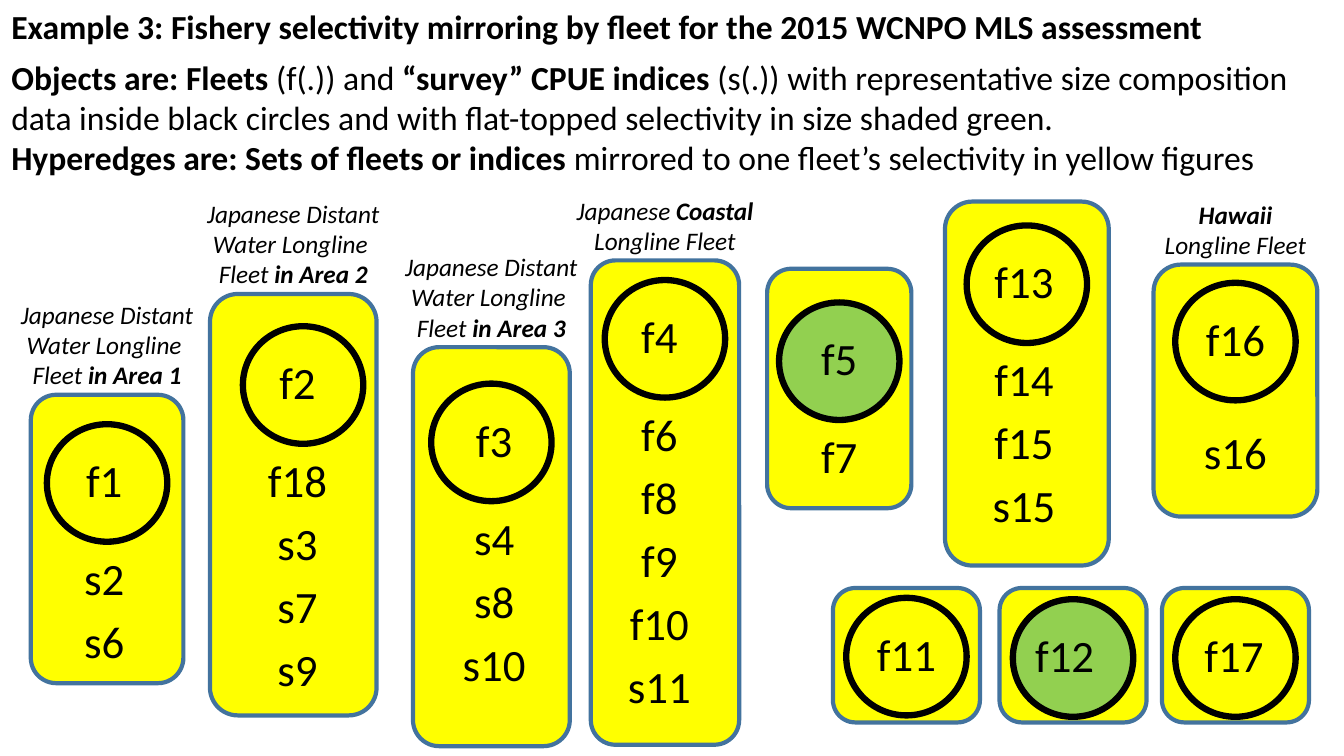
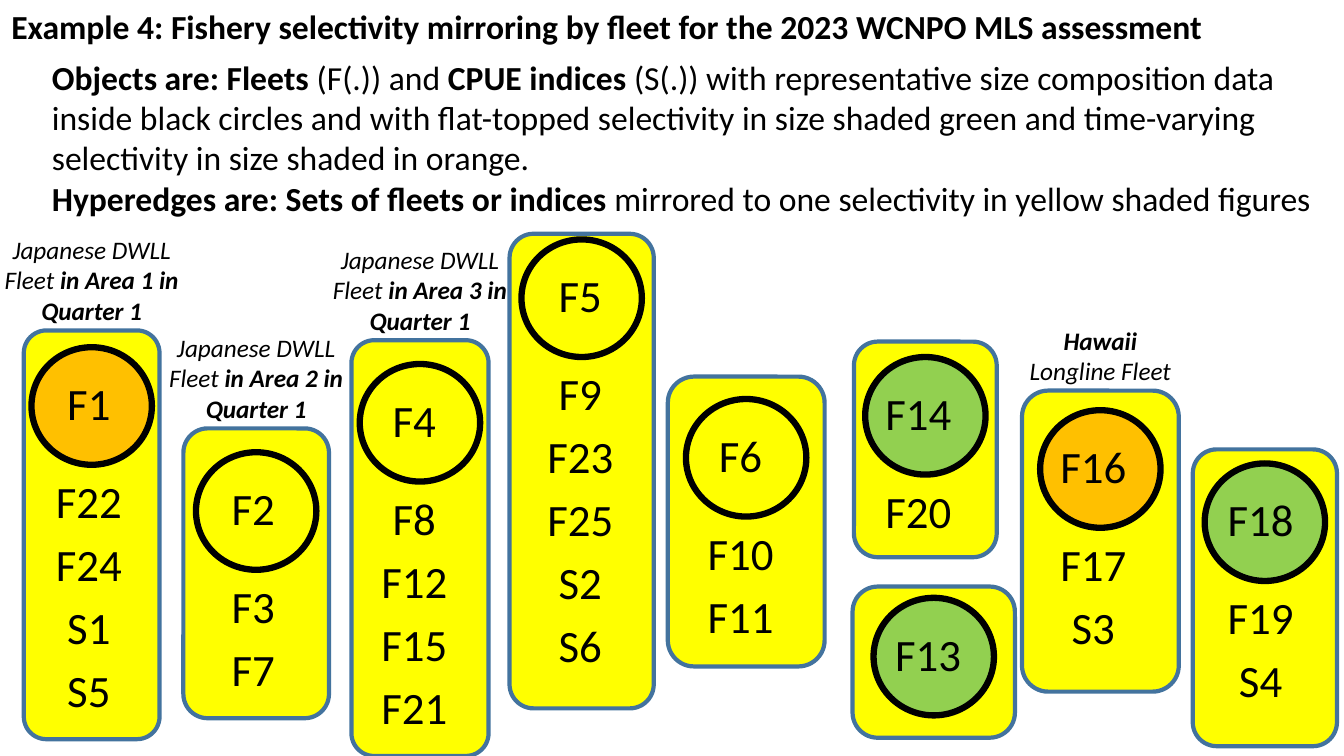
from pptx import Presentation
from pptx.dml.color import RGBColor
from pptx.enum.shapes import MSO_SHAPE
from pptx.enum.text import PP_ALIGN
from pptx.util import Pt

ROUNDED, OVAL = MSO_SHAPE.ROUNDED_RECTANGLE, MSO_SHAPE.OVAL
LEFT, CENTER = PP_ALIGN.LEFT, PP_ALIGN.CENTER

FONT = "Calibri"
BLACK, YELLOW, BLUE = "000000", "FFFF00", "43739E"
GREEN, ORANGE = "92D050", "FFC000"
CIRCLE_WIDTH, CIRCLE_HEIGHT = 86, 84
LABEL_WIDTH, LABEL_HEIGHT = 72, 46
CAPTION_WIDTH, CAPTION_LINE = 130, 22

# Labels below the circle's top: first one inside, the rest in equal rows
INSIDE, BELOW, ROW = 17, 87, 45
# Circles and labels standing apart from their column or row
CIRCLE_SHIFT = {"f2": 7}
LABEL_DROP = {"s16": 11}

DISTANT = ["Japanese Distant", "Water Longline "]
DWLL = "Japanese DWLL"
HAWAII = ["*Hawaii*", "Longline Fleet"]
QUARTER = "*Quarter 1*"
SINGLE = (420, 105, 96)

# Asterisks switch bold on and off. A hyperedge is: box (left, top, width, height),
# drop of the circle, lean of the labels, circle colour, labels, caption.
SLIDES = [
    {
        "title": "*Example 3: Fishery selectivity mirroring by fleet for the 2015 WCNPO MLS assessment*",
        "body_left": 1,
        "body": [
            "*Objects are: Fleets* (f(.)) and *“survey” CPUE indices* (s(.)) with representative size "
            "composition data inside black circles and with flat-topped selectivity in size shaded green.",
            "*Hyperedges are: Sets of fleets or indices *mirrored to one fleet’s selectivity in yellow figures",
        ],
        "hyperedges": [
            ((22, 282, 109, 206), 21, -2, None, "f1 s2 s6", DISTANT + ["Fleet *in Area 1*"]),
            ((150, 210, 119, 301), 23, 3, None, "f2 f18 s3 s7 s9", DISTANT + ["Fleet *in Area 2*"]),
            ((295, 248, 112, 285), 26, 2, None, "f3 s4 s8 s10", DISTANT + ["Fleet *in Area 3*"]),
            ((422, 186, 106, 346), 14, -4, None, "f4 f6 f8 f9 f10 s11",
             ["Japanese *Coastal*", "Longline Fleet"]),
            ((548, 192, 103, 171), 24, 0, GREEN, "f5 f7", []),
            ((675, 144, 117, 260), 17, -2, None, "f13 f14 f15 s15", []),
            ((824, 189, 117, 180), 13, 0, None, "f16 s16", HAWAII),
            ((595, *SINGLE), 7, 0, None, "f11", []),
            ((714, *SINGLE), 8, -6, GREEN, "f12", []),
            ((830, *SINGLE), 8, -1, None, "f17", []),
        ],
    },
    {
        "title": "*Example 4: Fishery selectivity mirroring by fleet for the 2023 WCNPO MLS assessment*",
        "body_left": 30,
        "body": [
            "*Objects are: Fleets* (F(.)) and *CPUE indices *(S(.)) with representative size composition data "
            "inside black circles and with flat-topped selectivity in size shaded green and time-varying "
            "selectivity in size shaded in orange.",
            "*Hyperedges are: Sets of fleets or indices *mirrored to one selectivity in yellow shaded figures",
        ],
        "hyperedges": [
            ((17, 236, 97, 292), 12, -2, ORANGE, "F1 F22 F24 S1 S5", [DWLL, "Fleet *in Area 1 in*", QUARTER]),
            ((131, 306, 104, 207), 17, -2, None, "F2 F3 F7", [DWLL, "Fleet *in Area 2 in*", QUARTER]),
            ((251, 243, 98, 297), 17, -4, None, "F4 F8 F12 F15 F21", [DWLL, "Fleet *in Area 3 in*", QUARTER]),
            ((364, 167, 103, 339), 4, -1, None, "F5 F9 F23 F25 S2 S6", []),
            ((477, 269, 112, 207), 16, -4, None, "F6 F10 F11", []),
            ((610, 244, 102, 154), 11, -5, GREEN, "F14 F20", []),
            ((609, 419, 116, 108), 8, -4, GREEN, "F13", []),
            ((730, 279, 112, 215), 14, -5, ORANGE, "F16 F17 S3", HAWAII),
            ((852, 321, 103, 212), 10, -3, GREEN, "F18 F19 S4", []),
        ],
    },
]


def color(value):
    return RGBColor.from_string(value)


def add_figure(page, kind, box, fill, line, width):
    figure = page.shapes.add_shape(kind, *map(Pt, box))
    figure.shadow.inherit = False
    if fill:
        figure.fill.solid()
        figure.fill.fore_color.rgb = color(fill)
    else:
        figure.fill.background()
    figure.line.color.rgb = color(line)
    figure.line.width = Pt(width)


def add_text(page, box, lines, size, italic=False, align=LEFT, margin=7.2):
    frame = page.shapes.add_textbox(*map(Pt, box)).text_frame
    frame.word_wrap = True
    frame.margin_left = frame.margin_right = Pt(margin)
    for number, line in enumerate(lines):
        para = frame.add_paragraph() if number else frame.paragraphs[0]
        para.alignment = align
        for index, part in enumerate(line.split("*")):
            if not part:
                continue
            span = para.add_run()
            span.text = part
            span.font.name = FONT
            span.font.size = Pt(size)
            span.font.bold = index % 2 == 1
            span.font.italic = italic
            span.font.color.rgb = color(BLACK)


def add_hyperedge(page, box, drop, lean, shade, names, caption):
    left, top, width, height = box
    middle, circle_top = left + width / 2, top + drop
    labels = names.split()
    # Box and circle
    add_figure(page, ROUNDED, box, YELLOW, BLUE, 3)
    circle_left = middle - CIRCLE_WIDTH / 2 + CIRCLE_SHIFT.get(labels[0], 0)
    add_figure(page, OVAL, (circle_left, circle_top, CIRCLE_WIDTH, CIRCLE_HEIGHT), shade, BLACK, 4.5)
    # Fleets and indices
    for row, name in enumerate(labels):
        offset = BELOW + (row - 1) * ROW if row else INSIDE
        label_top = circle_top + offset + LABEL_DROP.get(name, 0)
        label_box = (middle + lean - LABEL_WIDTH / 2, label_top, LABEL_WIDTH, LABEL_HEIGHT)
        add_text(page, label_box, [name], 32, align=CENTER, margin=0)
    # Caption resting on the box
    if caption:
        tall = 6 + CAPTION_LINE * len(caption)
        caption_box = (middle - CAPTION_WIDTH / 2, top - tall, CAPTION_WIDTH, tall)
        add_text(page, caption_box, caption, 18, italic=True, align=CENTER, margin=0)


def main():
    deck = Presentation()
    deck.slide_width, deck.slide_height = Pt(960), Pt(540)
    for content in SLIDES:
        page = deck.slides.add_slide(deck.slide_layouts[6])
        for hyperedge in content["hyperedges"]:
            add_hyperedge(page, *hyperedge)
        # Title and explanation
        add_text(page, (1, 1, 872, 36), [content["title"]], 24)
        left = content["body_left"]
        add_text(page, (left, 37, 960 - left, 94), content["body"], 24)
    deck.save("out.pptx")


if __name__ == "__main__":
    main()
